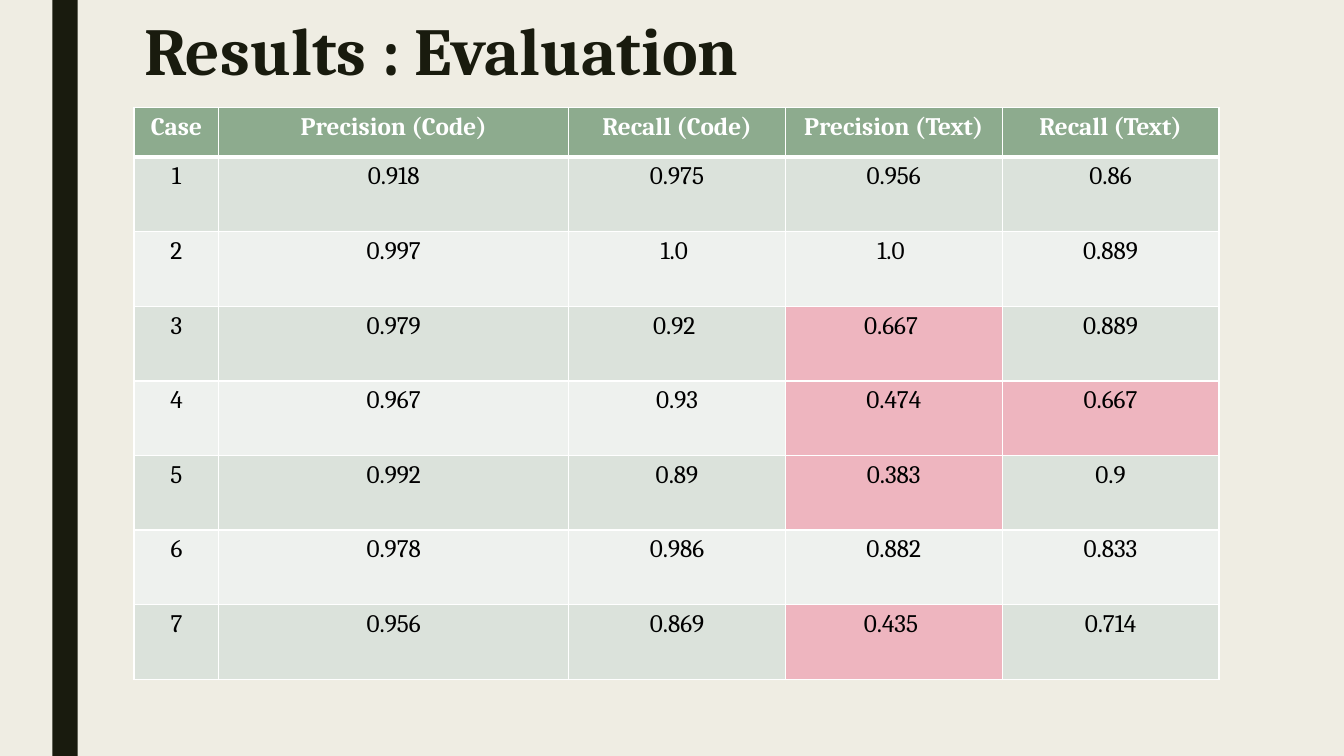
from lxml.etree import SubElement
from pptx import Presentation
from pptx.dml.color import RGBColor
from pptx.enum.shapes import MSO_SHAPE as Shape
from pptx.enum.text import MSO_ANCHOR as Anchor, PP_ALIGN as Align
from pptx.oxml.ns import qn
from pptx.util import Inches, Pt

FONT = "Cambria"
DARK, WHITE, BLACK = "191B0E", "FFFFFF", "000000"
HEADER, BANDS, LOW = "8DAB8E", ("DBE2DB", "EEF1EE"), "EEB5BF"
LOW_LIMIT = 0.7
COLUMN_WIDTHS = [0.84, 3.47, 2.15, 2.15, 2.15]
HEADER_HEIGHT, ROW_HEIGHT = 0.49, 0.74
RESULTS = [
    ["Case", "Precision (Code)", "Recall (Code)", "Precision (Text)", "Recall (Text)"],
    ["1", "0.918", "0.975", "0.956", "0.86"],
    ["2", "0.997", "1.0 ", "1.0 ", "0.889"],
    ["3", "0.979", "0.92 ", "0.667 ", "0.889"],
    ["4", "0.967", "0.93", "0.474", "0.667"],
    ["5", "0.992", "0.89", "0.383", "0.9"],
    ["6", "0.978", "0.986", "0.882", "0.833"],
    ["7", "0.956", "0.869", "0.435 ", "0.714"],
]


def color(hex_value):
    return RGBColor.from_string(hex_value)


def write(frame, text, size=18, ink=BLACK, bold=False, align=Align.CENTER, spacing=None):
    para = frame.paragraphs[0]
    para.alignment, para.line_spacing = align, spacing
    span = para.add_run()
    span.text = text
    span.font.name, span.font.size, span.font.bold = FONT, Pt(size), bold
    span.font.color.rgb = color(ink)


deck = Presentation()
deck.slide_width, deck.slide_height = Inches(13.33), Inches(7.5)
page = deck.slides.add_slide(deck.slide_layouts[5])
page.background.fill.solid()
page.background.fill.fore_color.rgb = color("EFEDE3")

stripe = page.shapes.add_shape(Shape.RECTANGLE, Inches(0.52), 0, Inches(0.25), deck.slide_height)
stripe.shadow.inherit = False
stripe.fill.solid()
stripe.fill.fore_color.rgb = color(DARK)
stripe.line.fill.background()

title = page.shapes.title
title.left, title.top = Inches(1.33), Inches(0.13)
title.width, title.height = Inches(10.5), Inches(1.62)
title.text_frame.vertical_anchor = Anchor.TOP
write(title.text_frame, "Results : Evaluation", size=48, ink=DARK, bold=True,
      align=Align.LEFT, spacing=0.89)

table = page.shapes.add_table(
    len(RESULTS), len(COLUMN_WIDTHS), Inches(1.33), Inches(1.07), Inches(sum(COLUMN_WIDTHS)),
    Inches(HEADER_HEIGHT + ROW_HEIGHT * (len(RESULTS) - 1))).table
for column, width in zip(table.columns, COLUMN_WIDTHS):
    column.width = Inches(width)

for row, values in enumerate(RESULTS):
    is_header = row == 0
    table.rows[row].height = Inches(HEADER_HEIGHT if is_header else ROW_HEIGHT)
    for column, value in enumerate(values):
        cell = table.cell(row, column)
        write(cell.text_frame, value, ink=WHITE if is_header else BLACK, bold=is_header)
        if is_header:
            shade = HEADER
        elif column > 0 and float(value) < LOW_LIMIT:
            shade = LOW
        else:
            shade = BANDS[(row - 1) % 2]

        properties = cell._tc.get_or_add_tcPr()
        for side in ("lnL", "lnR", "lnT", "lnB"):
            under_header = (row, side) in ((0, "lnB"), (1, "lnT"))
            border = SubElement(properties, qn("a:" + side), w=str(Pt(3 if under_header else 1)))
            border_fill = SubElement(border, qn("a:solidFill"))
            SubElement(border_fill, qn("a:srgbClr"), val=WHITE)
        cell.fill.solid()
        cell.fill.fore_color.rgb = color(shade)
        # Schema order: borders come before the fill
        properties.append(properties.find(qn("a:solidFill")))

deck.save("out.pptx")
